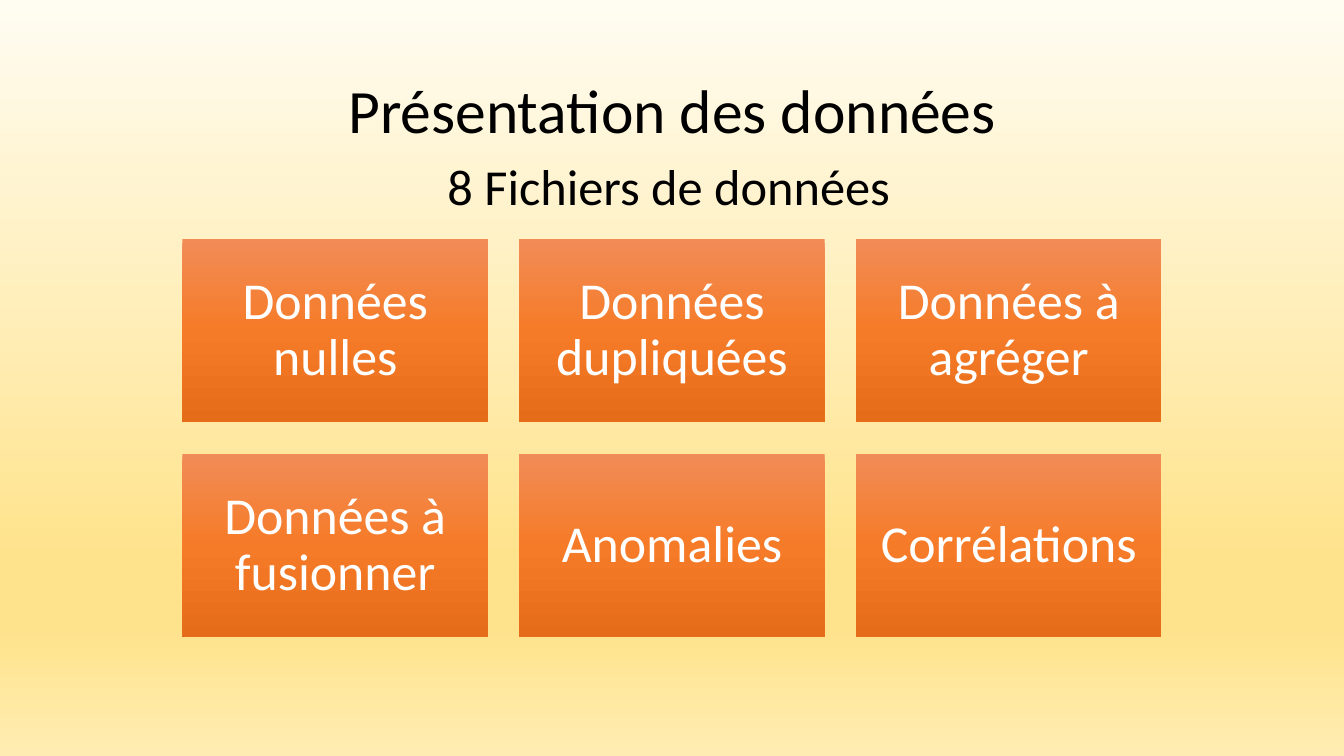
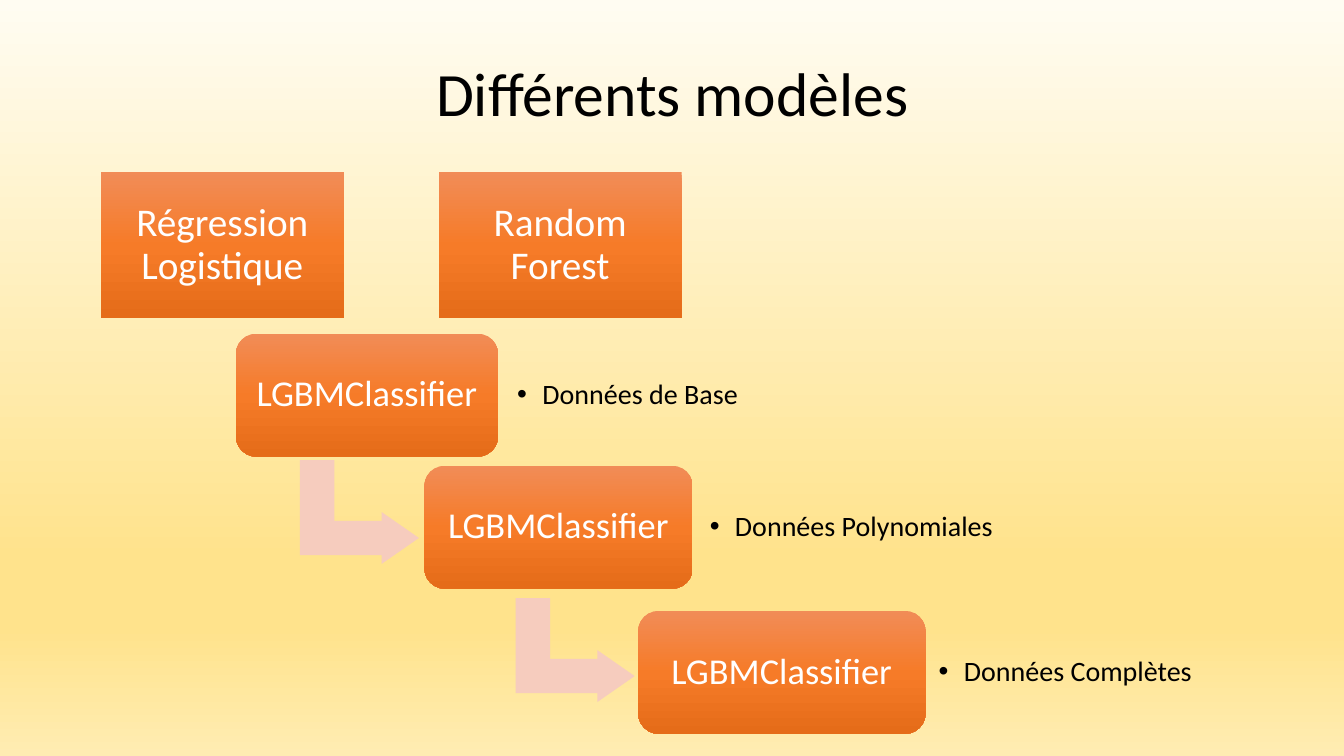
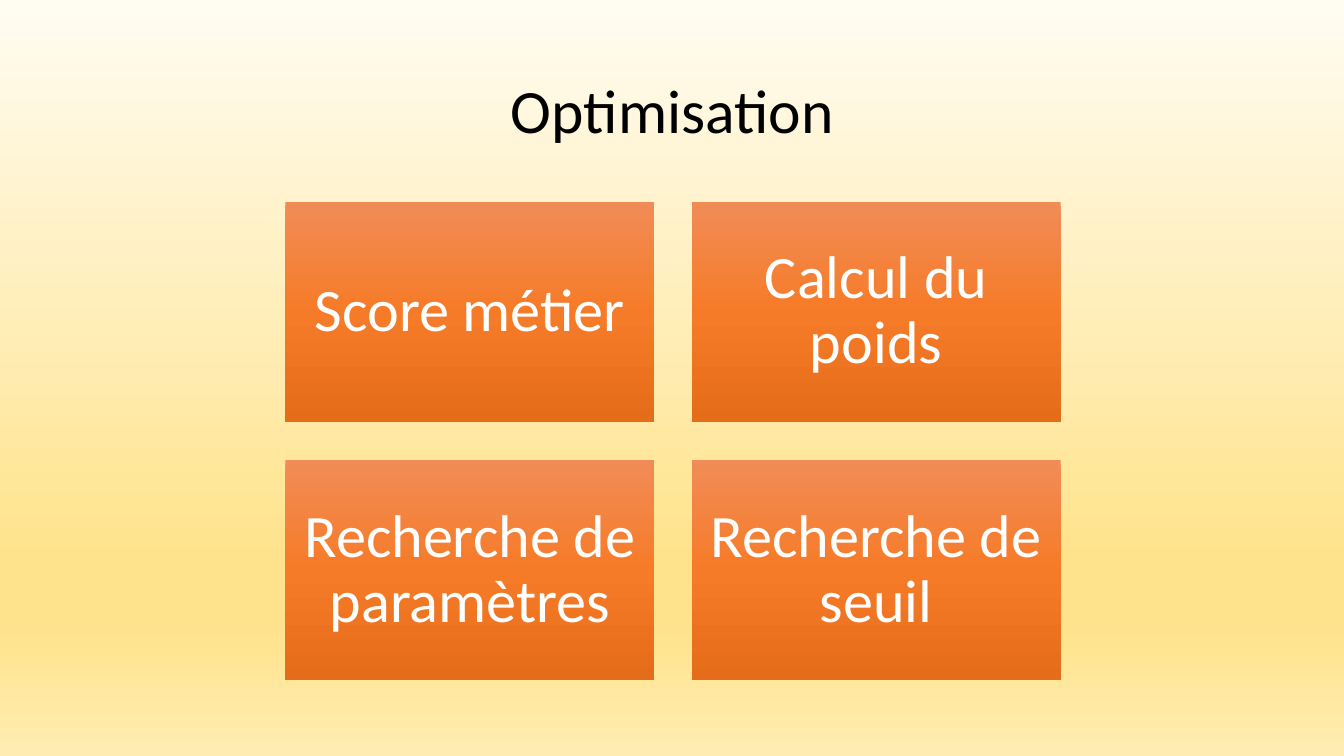
from copy import deepcopy
from dataclasses import dataclass

from lxml.etree import SubElement
from pptx import Presentation
from pptx.dml.color import RGBColor
from pptx.dml.fill import FillFormat
from pptx.enum.shapes import MSO_SHAPE
from pptx.enum.text import MSO_ANCHOR, PP_ALIGN
from pptx.oxml.ns import qn
from pptx.oxml.xmlchemy import BaseOxmlElement
from pptx.presentation import Presentation as PresentationType
from pptx.shapes.autoshape import Shape
from pptx.slide import Slide
from pptx.util import Inches, Pt

FONT = "Calibri"
COLORS = {
    "black": "000000",
    "white": "FFFFFF",
    "arrow": "F6CCBE",
    "cream": "FFFCF2",
    "yellow": "FFE38C",
    "pale yellow": "FFECB2",
    "light orange": "F18C57",
    "orange": "F67B28",
    "dark orange": "E56C19",
}
BACKGROUND_STOPS = [(0, "cream"), (0.74, "yellow"), (0.83, "yellow"), (1, "pale yellow")]
BOX_STOPS = [(0, "light orange"), (0.5, "orange"), (1, "dark orange")]
STEP_HEIGHT = 1.22
NOTE_HEIGHT = 0.98


@dataclass(frozen=True)
class BoxGrid:
    labels: list[str]
    columns: int
    left: float
    top: float
    width: float
    height: float
    gap: float
    size: int


@dataclass(frozen=True)
class ModelStep:
    left: float
    top: float
    width: float
    note: str
    note_left: float


def color(name: str) -> RGBColor:
    return RGBColor.from_string(COLORS[name])


def apply_gradient(fill: FillFormat, owner: BaseOxmlElement, stops: list[tuple[float, str]]) -> None:
    """Fill from top to bottom; owner is the element that holds the fill."""
    fill.gradient()
    fill.gradient_angle = 270
    stop_list = next(owner.iter(qn("a:gsLst")))
    while len(stop_list) < len(stops):
        stop_list.append(deepcopy(stop_list[0]))
    for stop, (position, name) in zip(fill.gradient_stops, stops):
        stop.position = position
        stop.color.rgb = color(name)


def write_text(shape: Shape, text: str, *, size: int, color_name: str = "black",
               align: PP_ALIGN = PP_ALIGN.CENTER, anchor: MSO_ANCHOR = MSO_ANCHOR.MIDDLE,
               inset: float | None = None, spacing: float = 0.9,
               wrap: bool = True, bullet: bool = False) -> None:
    frame = shape.text_frame
    frame.word_wrap = wrap
    frame.vertical_anchor = anchor
    if inset is not None:
        frame.margin_left = frame.margin_right = Inches(inset)
        frame.margin_top = frame.margin_bottom = Inches(inset)
    paragraph = frame.paragraphs[0]
    if bullet:
        properties = paragraph._p.get_or_add_pPr()
        properties.set("marL", str(Inches(0.25)))
        properties.set("indent", str(Inches(-0.25)))
        SubElement(properties, qn("a:buFont"), typeface="Arial")
        SubElement(properties, qn("a:buChar"), char="•")
    paragraph.alignment = align
    paragraph.line_spacing = spacing
    run = paragraph.add_run()
    run.text = text
    run.font.name = FONT
    run.font.size = Pt(size)
    run.font.color.rgb = color(color_name)


def add_text(slide: Slide, text: str, left: float, top: float, width: float, height: float,
             **text_format) -> None:
    box = slide.shapes.add_textbox(Inches(left), Inches(top), Inches(width), Inches(height))
    write_text(box, text, **text_format)


def add_plain_shape(slide: Slide, kind: MSO_SHAPE, left: float, top: float,
                    width: float, height: float) -> Shape:
    """Add a shape without shadow or outline."""
    shape = slide.shapes.add_shape(kind, Inches(left), Inches(top), Inches(width), Inches(height))
    shape.shadow.inherit = False
    shape.line.fill.background()
    return shape


def add_orange_box(slide: Slide, kind: MSO_SHAPE, text: str, left: float, top: float,
                   width: float, height: float, size: int) -> None:
    box = add_plain_shape(slide, kind, left, top, width, height)
    apply_gradient(box.fill, box.element, BOX_STOPS)
    write_text(box, text, size=size, color_name="white", inset=size * 0.3 / 72)


def add_box_grid(slide: Slide, grid: BoxGrid) -> None:
    for index, label in enumerate(grid.labels):
        row, column = divmod(index, grid.columns)
        add_orange_box(slide, MSO_SHAPE.RECTANGLE, label,
                       grid.left + column * (grid.width + grid.gap),
                       grid.top + row * (grid.height + grid.gap),
                       grid.width, grid.height, grid.size)


def add_model_step(slide: Slide, step: ModelStep) -> None:
    add_orange_box(slide, MSO_SHAPE.ROUNDED_RECTANGLE, "LGBMClassifier",
                   step.left, step.top, step.width, STEP_HEIGHT, 26)
    add_text(slide, step.note, step.note_left, step.top + (STEP_HEIGHT - NOTE_HEIGHT) / 2,
             3.15, NOTE_HEIGHT, size=20, align=PP_ALIGN.LEFT, inset=0.11, bullet=True)


def add_step_arrow(slide: Slide, left: float, top: float) -> None:
    arrow = add_plain_shape(slide, MSO_SHAPE.BENT_UP_ARROW, left, top, 1.03, 1.18)
    arrow.rotation = 90
    for index, value in enumerate((0.33, 0.25, 0.36)):
        arrow.adjustments[index] = value
    arrow.fill.solid()
    arrow.fill.fore_color.rgb = color("arrow")


def add_titled_slide(presentation: PresentationType, title: str, title_top: float = 0.4) -> Slide:
    slide = presentation.slides.add_slide(presentation.slide_layouts[6])
    add_text(slide, title, 0.92, title_top, 11.5, 1.45, size=44)
    return slide


def add_data_slide(presentation: PresentationType) -> None:
    slide = add_titled_slide(presentation, "Présentation des données")
    labels = ["Données nulles", "Données dupliquées", "Données à agréger",
              "Données à fusionner", "Anomalies", "Corrélations"]
    add_box_grid(slide, BoxGrid(labels, columns=3, left=1.81, top=2.37, width=3.03,
                                height=1.82, gap=0.31, size=37))
    add_text(slide, "8 Fichiers de données", 4.34, 1.49, 4.66, 0.71, size=36,
             align=PP_ALIGN.LEFT, anchor=MSO_ANCHOR.TOP, spacing=1.0, wrap=False)


def add_models_slide(presentation: PresentationType) -> None:
    slide = add_titled_slide(presentation, "Différents modèles", title_top=0.23)
    add_box_grid(slide, BoxGrid(["Régression Logistique", "Random Forest"], columns=2, left=1,
                                top=1.71, width=2.41, height=1.45, gap=0.94, size=28))
    for left, top in ((3.05, 4.49), (5.19, 5.86)):
        add_step_arrow(slide, left, top)
    for step in (
        ModelStep(2.34, 3.31, 2.6, "Données de Base", 5.02),
        ModelStep(4.21, 4.62, 2.66, "Données Polynomiales", 6.93),
        ModelStep(6.33, 6.06, 2.85, "Données Complètes", 9.2),
    ):
        add_model_step(slide, step)


def add_optimisation_slide(presentation: PresentationType) -> None:
    slide = add_titled_slide(presentation, "Optimisation")
    labels = ["Score métier", "Calcul du poids", "Recherche de paramètres", "Recherche de seuil"]
    add_box_grid(slide, BoxGrid(labels, columns=2, left=2.83, top=2, width=3.66,
                                height=2.19, gap=0.37, size=43))


def main() -> None:
    presentation = Presentation()
    presentation.slide_width = Inches(13.33)
    presentation.slide_height = Inches(7.5)
    master = presentation.slide_master
    apply_gradient(master.background.fill, master.element, BACKGROUND_STOPS)
    add_data_slide(presentation)
    add_models_slide(presentation)
    add_optimisation_slide(presentation)
    presentation.save("out.pptx")


if __name__ == "__main__":
    main()
